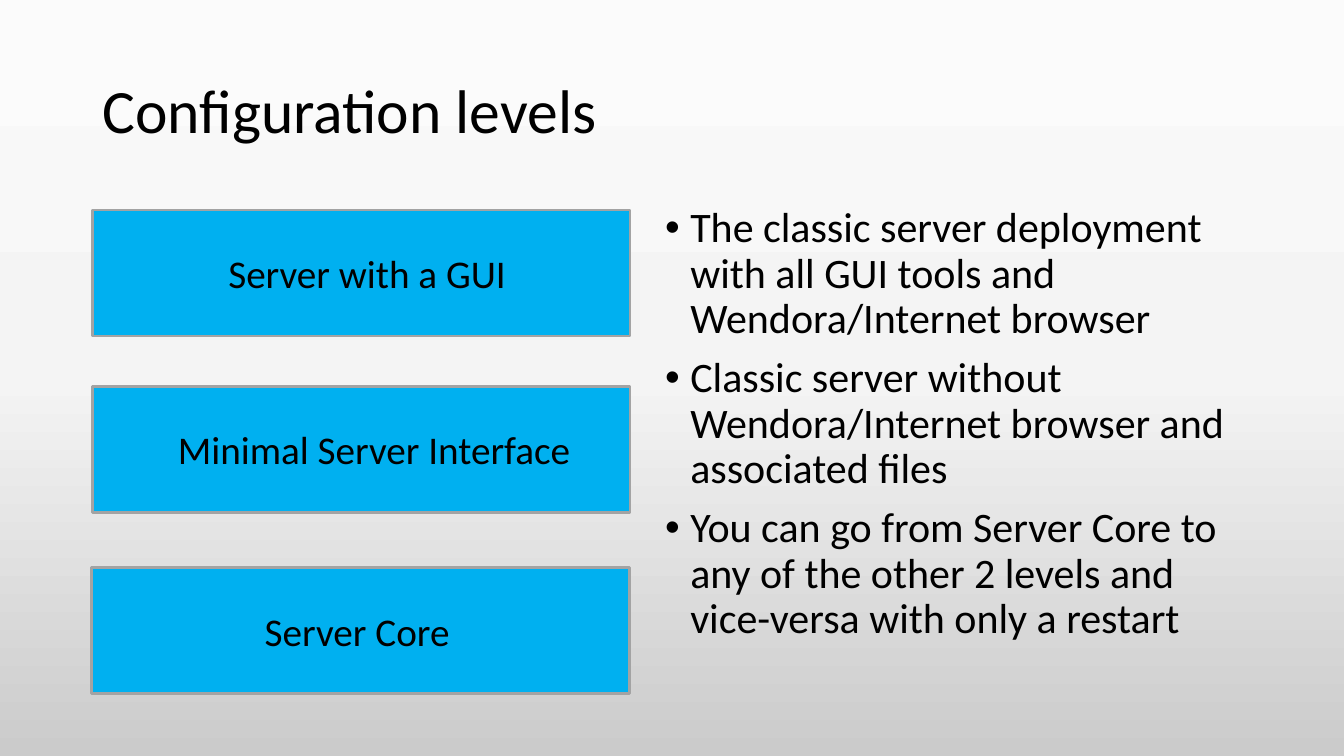
"""Builds the slide on server configuration levels."""
from copy import deepcopy
from pptx import Presentation
from pptx.dml.color import RGBColor
from pptx.enum import shapes, text
from pptx.oxml import parse_xml
from pptx.oxml.ns import nsdecls
from pptx.util import Pt

INK = {"text": "000000", "bar": "00B0F0", "edge": "A3A3A3",
       "top": "FBFBFB", "mid": "F4F4F4", "low": "CBCBCB"}
FONT = "Calibri"
TITLE = "Configuration levels"
LEVELS = [("Server with a GUI", 66, 150, 90, 270),
          ("Minimal Server Interface", 66, 276, 54, 306),
          ("Server Core", 65.5, 405.5, 116.5, 150.5)]
NOTES = ["The classic server deployment with all GUI tools and Wendora/Internet browser",
         "Classic server without Wendora/Internet browser and associated files",
         "You can go from Server Core to any of the other 2 levels and vice-versa with only a restart"]


def color(key):
    return RGBColor.from_string(INK[key])


def write(page, box, lines, size, anchor=text.MSO_ANCHOR.TOP, lead=1.0):
    frame = page.shapes.add_textbox(*map(Pt, box)).text_frame
    frame.word_wrap = True
    frame.vertical_anchor = anchor
    frame.text = "\n".join(lines)
    for para in frame.paragraphs:
        para.line_spacing = lead
        for run in para.runs:
            run.font.name = FONT
            run.font.size = Pt(size)
            run.font.color.rgb = color("text")
    return frame


def backdrop(page):
    fill = page.background.fill
    fill.gradient()
    fill.gradient_angle = 270
    first = page.element.xpath(".//a:gsLst/a:gs")[0]
    first.addnext(deepcopy(first))
    for stop, key, place in zip(fill.gradient_stops, ("top", "mid", "low"), (0, 0.5, 1)):
        stop.color.rgb = color(key)
        stop.position = place


def heading(page, box):
    write(page, box, [TITLE], 44, text.MSO_ANCHOR.MIDDLE, 0.9)


def level(page, box, label, inset, span):
    left, top, wide, high = box
    bar = page.shapes.add_shape(shapes.MSO_SHAPE.RECTANGLE, *map(Pt, box))
    bar.shadow.inherit = False
    bar.fill.solid()
    bar.fill.fore_color.rgb = color("bar")
    bar.line.color.rgb = color("edge")
    bar.line.width = Pt(2)
    write(page, (left + inset, top + 24.5, span, 41), [label], 28)


def notes(page, box):
    for para in write(page, box, NOTES, 30, lead=0.9).paragraphs:
        para.space_before = Pt(10)
        props = para._p.get_or_add_pPr()
        props.set("marL", str(Pt(18)))
        props.set("indent", str(Pt(-18)))
        props.append(parse_xml(f'<a:buFont {nsdecls("a")} typeface="Arial"/>'))
        props.append(parse_xml(f'<a:buChar {nsdecls("a")} char="•"/>'))


def main():
    deck = Presentation()
    deck.slide_width, deck.slide_height = Pt(960), Pt(540)
    page = deck.slides.add_slide(deck.slide_layouts[6])
    backdrop(page)
    heading(page, (66, 28.75, 828, 104.4))
    notes(page, (468, 144, 426, 342.6))
    for label, left, top, inset, span in LEVELS:
        level(page, (left, top, 384, 90), label, inset, span)
    deck.save("out.pptx")


main()
